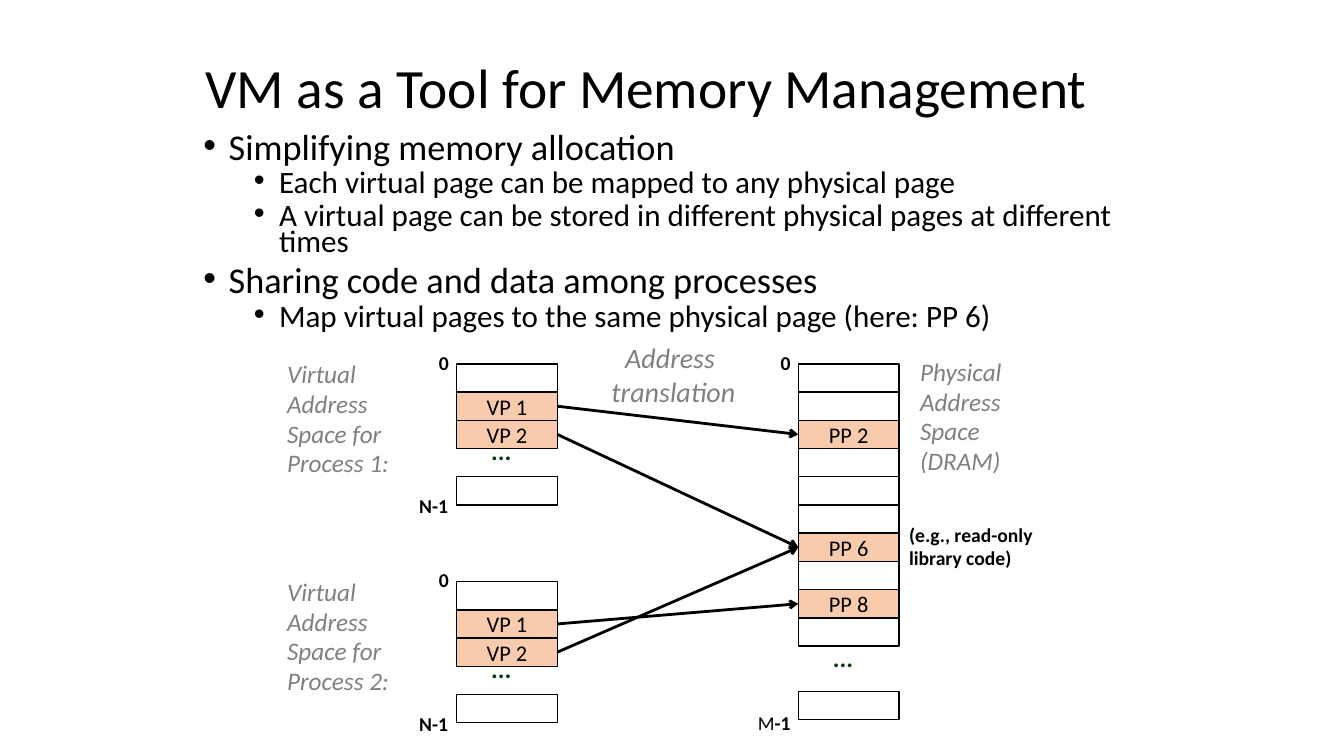
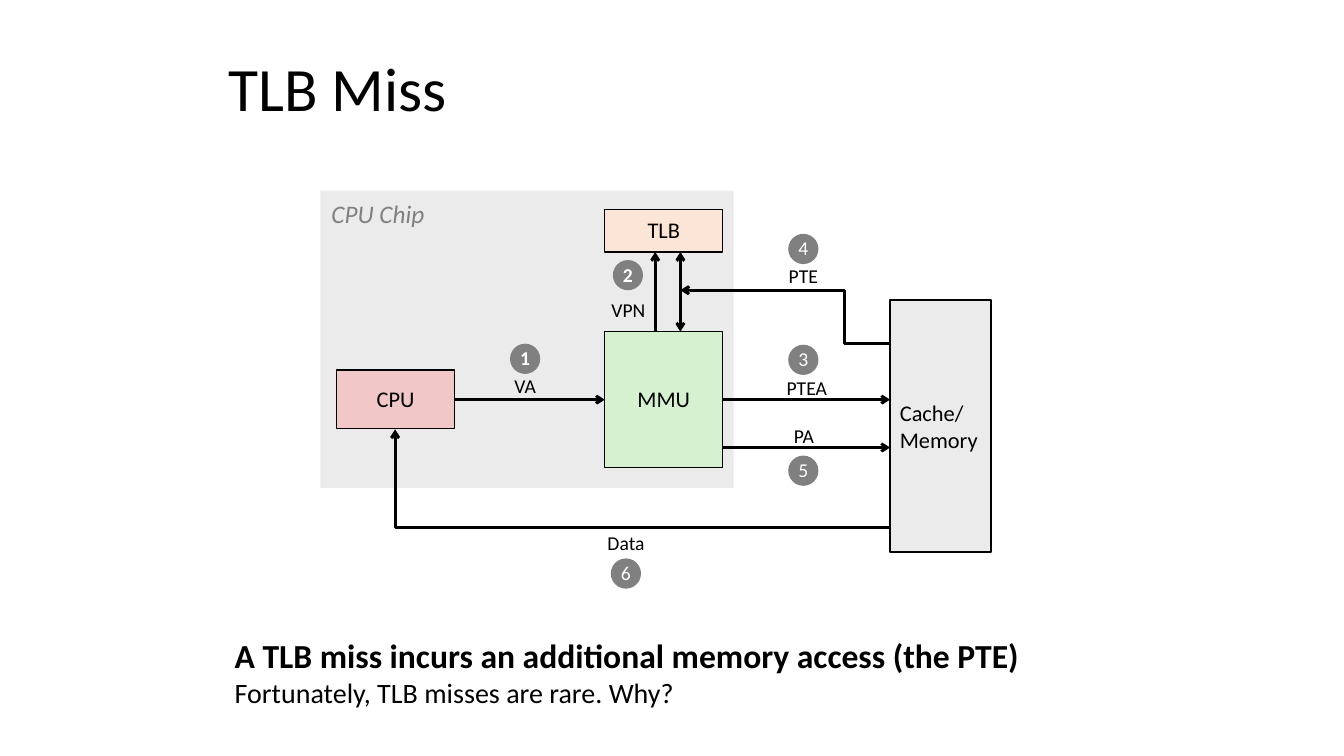
"""Build two slides on virtual memory: memory management and the TLB miss."""
import pptx
import pptx.util
import pptx.dml.color
import pptx.enum.shapes
import pptx.enum.text
import pptx.oxml.ns
import lxml.etree

Pt = pptx.util.Pt
qn = pptx.oxml.ns.qn
SHAPE = pptx.enum.shapes.MSO_SHAPE
CONNECTOR = pptx.enum.shapes.MSO_CONNECTOR
ALIGN = pptx.enum.text.PP_ALIGN
ANCHOR = pptx.enum.text.MSO_ANCHOR

FONT = "Calibri"
BLACK, WHITE, GRAY = "000000", "FFFFFF", "808080"
PAGE_FILL, ELLIPSIS_GREEN = "F8CBAD", "003300"
CHIP_FILL, MMU_FILL, CPU_FILL, TLB_FILL = "EBEBEB", "D5F1CF", "F1C7C7", "FBE5D6"
CELL_WIDTH, ROW = 72, 20.16
LABEL_HEIGHT, BADGE_SIZE = 23.76, 21.6
TIGHT = 0.98


def rgb(value):
    """Turn a hex string into a colour."""
    return pptx.dml.color.RGBColor.from_string(value)


def style(run, size, color=BLACK, bold=False, italic=False):
    """Format one run."""
    font = run.font
    font.name, font.size = FONT, Pt(size)
    font.bold, font.italic = bold, italic
    font.color.rgb = rgb(color)


def write(shape, text, size, align=ALIGN.LEFT, spacing=1.0, before=0,
          anchor=ANCHOR.TOP, wrap=True, **look):
    """Fill a shape with evenly formatted text."""
    frame = shape.text_frame
    frame.text = text
    frame.word_wrap = wrap
    frame.vertical_anchor = anchor
    for paragraph in frame.paragraphs:
        paragraph.alignment = align
        paragraph.line_spacing = spacing
        paragraph.space_before = Pt(before)
        for run in paragraph.runs:
            style(run, size, **look)


def add_text(slide, left, top, width, height, text, size, **options):
    """Add a text box."""
    box = slide.shapes.add_textbox(Pt(left), Pt(top), Pt(width), Pt(height))
    write(box, text, size, **options)
    return box


def add_title(slide, left, top, width, height, text, size):
    """Add the slide title."""
    add_text(slide, left, top, width, height, text, size,
             spacing=0.9, anchor=ANCHOR.MIDDLE)


def add_label(slide, left, top, width, text, **options):
    """Add a small one-line label."""
    return add_text(slide, left, top, width, LABEL_HEIGHT, text, 14,
                    spacing=TIGHT, wrap=False, **options)


def add_block(slide, left, top, width, height, fill=None, line=None,
              kind=SHAPE.RECTANGLE):
    """Add a plain shape with an optional fill and outline."""
    block = slide.shapes.add_shape(kind, Pt(left), Pt(top), Pt(width), Pt(height))
    block.shadow.inherit = False
    if fill:
        block.fill.solid()
        block.fill.fore_color.rgb = rgb(fill)
    else:
        block.fill.background()
    if line:
        block.line.color.rgb = rgb(BLACK)
        block.line.width = Pt(line)
    else:
        block.line.fill.background()
    return block


def add_arrow(slide, start, end, kind=CONNECTOR.STRAIGHT, both=False):
    """Add an arrow between two points."""
    arrow = slide.shapes.add_connector(kind, *[Pt(n) for n in (*start, *end)])
    arrow.line.color.rgb = rgb(BLACK)
    arrow.line.width = Pt(2)
    properties = arrow._element.spPr
    outline = properties.find(qn("a:ln"))
    for tip in ("a:headEnd", "a:tailEnd") if both else ("a:tailEnd",):
        lxml.etree.SubElement(outline, qn(tip), type="arrow")
    lxml.etree.SubElement(properties, qn("a:effectLst"))
    return arrow


def add_elbow(slide, start, end, preset, bend=None):
    """Add a bent arrow, with the bend as a share of its width."""
    elbow = add_arrow(slide, start, end, CONNECTOR.ELBOW)
    geometry = elbow._element.spPr.find(qn("a:prstGeom"))
    geometry.set("prst", preset)
    if bend is not None:
        guides = geometry.find(qn("a:avLst"))
        if guides is None:
            guides = lxml.etree.SubElement(geometry, qn("a:avLst"))
        lxml.etree.SubElement(guides, qn("a:gd"), name="adj1",
                              fmla=f"val {round(bend * 100000)}")


def add_bullets(slide, left, top, width, height, items):
    """Add a bulleted list from (level, line spacing, text) items."""
    text = "\n".join(item[2] for item in items)
    box = add_text(slide, left, top, width, height, text, 22.2)
    for paragraph, (level, spacing, _) in zip(box.text_frame.paragraphs, items):
        paragraph.level = level
        paragraph.line_spacing = spacing
        paragraph.space_before = Pt(5 if level else 10)
        style(paragraph.runs[0], 22.2 if level else 25.9)
        properties = paragraph._p.get_or_add_pPr()
        properties.set("marL", str(Pt(18 + 36 * level)))
        properties.set("indent", str(-Pt(18)))
        lxml.etree.SubElement(properties, qn("a:buFont"), typeface="Arial")
        lxml.etree.SubElement(properties, qn("a:buChar"), char="•")


def add_memory(slide, left, top, rows, pages, ellipsis_top):
    """Add a column of memory cells and return the named pages by row."""
    named = {}
    for row in rows:
        page = pages.get(row)
        cell = add_block(slide, left, top + row * ROW, CELL_WIDTH, ROW,
                         PAGE_FILL if page else None, 1)
        if page:
            write(cell, page, 16, align=ALIGN.CENTER, anchor=ANCHOR.MIDDLE)
            named[page] = cell
    add_text(slide, left + 17.6, top + ellipsis_top, 28.8, 25.92, "...", 18,
             spacing=0.88, before=9, wrap=False, color=ELLIPSIS_GREEN, bold=True)
    add_label(slide, left - 19.8, top - 12.24, 22.32, "0", bold=True)
    return named


def add_process(slide, number, top):
    """Add the virtual address space of one process."""
    left = 326.16
    add_text(slide, 198, top - 6.2, 108, 92.16,
             f"Virtual Address Space for Process {number}:", 18,
             spacing=TIGHT, color=GRAY, italic=True)
    add_label(slide, left - 33.84, top + 90.2, 35.28, "N-1", bold=True)
    return add_memory(slide, left, top, (0, 1, 2, 4),
                      {1: "VP 1", 2: "VP 2"}, 50.4)


def add_mapping(slide, virtual, physical):
    """Link a virtual page to a physical page."""
    arrow = add_arrow(slide, (0, 0), (0, 0))
    arrow.begin_connect(virtual, 3)
    arrow.end_connect(physical, 1)


def add_unit(slide, left, top, height, name, fill):
    """Add a unit of the CPU chip."""
    unit = add_block(slide, left, top, 84.24, height, fill, 0.99)
    write(unit, name, 16, align=ALIGN.CENTER, spacing=TIGHT,
          anchor=ANCHOR.MIDDLE, wrap=False)


def add_badge(slide, left, top, number, bold):
    """Add a numbered step badge."""
    badge = add_block(slide, left, top, BADGE_SIZE, BADGE_SIZE, GRAY,
                      kind=SHAPE.OVAL)
    write(badge, number, 14, align=ALIGN.CENTER, spacing=TIGHT,
          anchor=ANCHOR.MIDDLE, wrap=False, color=WHITE, bold=bold)


def build_memory_management(slide):
    """Show two processes that share a physical page."""
    add_title(slide, 139.68, 41.76, 678.24, 45.36,
              "VM as a Tool for Memory Management", 39.6)
    add_bullets(slide, 138.24, 95.76, 689.76, 149.76, [
        (0, 0.63, "Simplifying memory allocation"),
        (1, 0.68, "Each virtual page can be mapped to any physical page"),
        (1, 0.7, "A virtual page can be stored in different physical pages "
                 "at different times"),
        (0, 0.63, "Sharing code and data among processes"),
        (1, 0.7, "Map virtual pages to the same physical page (here: PP 6)"),
    ])
    top = 259.92
    first = add_process(slide, 1, top)
    second = add_process(slide, 2, 415.44)
    physical = add_memory(slide, 570.24, top, (*range(10), 11.6),
                          {2: "PP 2", 6: "PP 6", 8: "PP 8"}, 198)
    last_address = add_label(slide, 534.24, 505.44, 38.16, "M")
    suffix = last_address.text_frame.paragraphs[0].add_run()
    suffix.text = "-1"
    style(suffix, 14, bold=True)
    add_text(slide, 650.16, 252, 84.24, 92.88,
             "Physical \nAddress \nSpace (DRAM)", 18,
             spacing=TIGHT, color=GRAY, italic=True)
    add_text(slide, 642.24, 370.8, 114.48, 40.32,
             "(e.g., read-only \nlibrary code)", 14, spacing=TIGHT, bold=True)
    for virtual, target in ((first["VP 1"], "PP 2"), (first["VP 2"], "PP 6"),
                            (second["VP 2"], "PP 6"), (second["VP 1"], "PP 8")):
        add_mapping(slide, virtual, physical[target])
    add_text(slide, 427.68, 239.76, 106.56, 55.44, "Address \ntranslation", 20,
             align=ALIGN.CENTER, wrap=False, color=GRAY, italic=True)


def build_tlb_miss(slide):
    """Show the steps of a TLB miss."""
    add_block(slide, 228.96, 136.08, 295.2, 212.4, CHIP_FILL)
    add_title(slide, 156.24, 34.56, 686.16, 61.92, "TLB Miss", 44)
    add_text(slide, 229.68, 138.24, 83.52, 28.8, "CPU Chip", 18,
             wrap=False, color=GRAY, italic=True)
    add_unit(slide, 432, 236.88, 97.2, "MMU", MMU_FILL)
    add_unit(slide, 240.48, 264.24, 41.76, "CPU", CPU_FILL)
    add_unit(slide, 432, 149.76, 30.24, "TLB", TLB_FILL)
    memory_left = 635.76
    memory = add_block(slide, memory_left, 214.56, 72, 180, CHIP_FILL, 1.5)
    write(memory, "Cache/\nMemory", 16, anchor=ANCHOR.MIDDLE, wrap=False)

    mmu_right, request_y, physical_y = 516.24, 285.48, 319.68
    tlb_bottom, mmu_top = 180, 236.88
    add_arrow(slide, (324.72, request_y), (432, request_y))
    add_arrow(slide, (mmu_right, request_y), (memory_left, request_y))
    add_arrow(slide, (mmu_right, physical_y), (memory_left, physical_y))
    add_arrow(slide, (468, mmu_top), (468, tlb_bottom))
    add_arrow(slide, (486, tlb_bottom), (486, mmu_top), both=True)
    add_elbow(slide, (memory_left, 376.56), (282.24, 306.72), "bentConnector2")
    add_elbow(slide, (memory_left, 245.52), (486, 207.36), "bentConnector3", 0.216)

    for name, left, top, width in (
            ("VA", 360, 264.24, 30.24), ("VPN", 429.12, 210.24, 39.6),
            ("PTEA", 554.4, 265.68, 43.92), ("PTE", 555.84, 185.76, 36),
            ("PA", 559.44, 300.24, 29.52), ("Data", 426.24, 376.56, 41.76)):
        add_label(slide, left, top, width, name, align=ALIGN.CENTER,
                  anchor=ANCHOR.MIDDLE)
    for number, left, top in (
            ("1", 364.32, 245.52), ("2", 437.76, 185.76), ("3", 563.04, 246.24),
            ("4", 563.04, 167.04), ("5", 563.04, 325.44), ("6", 436.32, 398.88)):
        add_badge(slide, left, top, number, bold=number in "12")

    remark = add_text(slide, 160.56, 450, 606.96, 72,
                      "A TLB miss incurs an additional memory access (the PTE)\v"
                      "Fortunately, TLB misses are rare. Why?", 24,
                      before=4.8, bold=True)
    style(remark.text_frame.paragraphs[0].runs[1], 20)


def main():
    """Build and save the presentation."""
    deck = pptx.Presentation()
    deck.slide_width, deck.slide_height = Pt(960), Pt(540)
    for build in (build_memory_management, build_tlb_miss):
        build(deck.slides.add_slide(deck.slide_layouts[6]))
    deck.save("out.pptx")


main()
